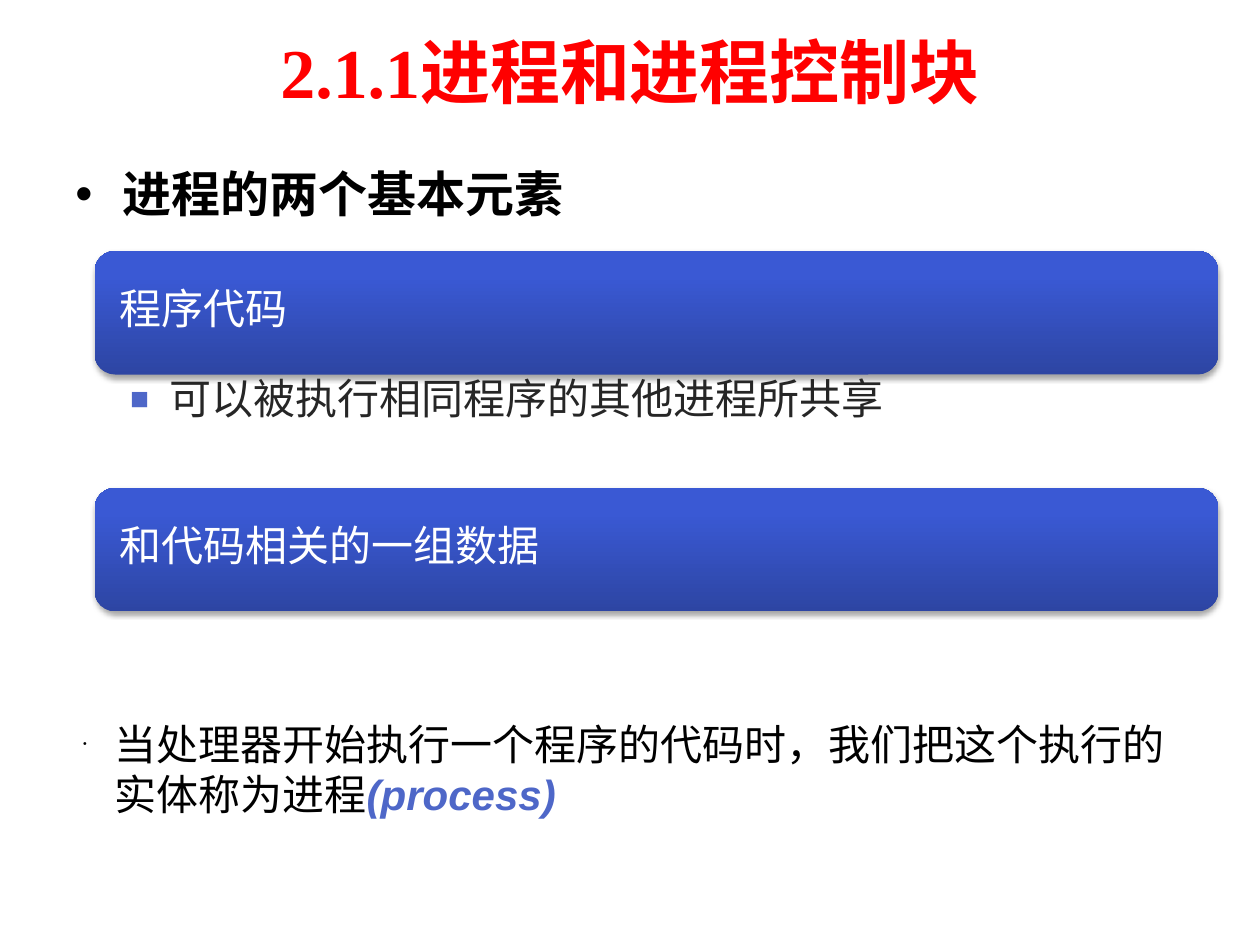
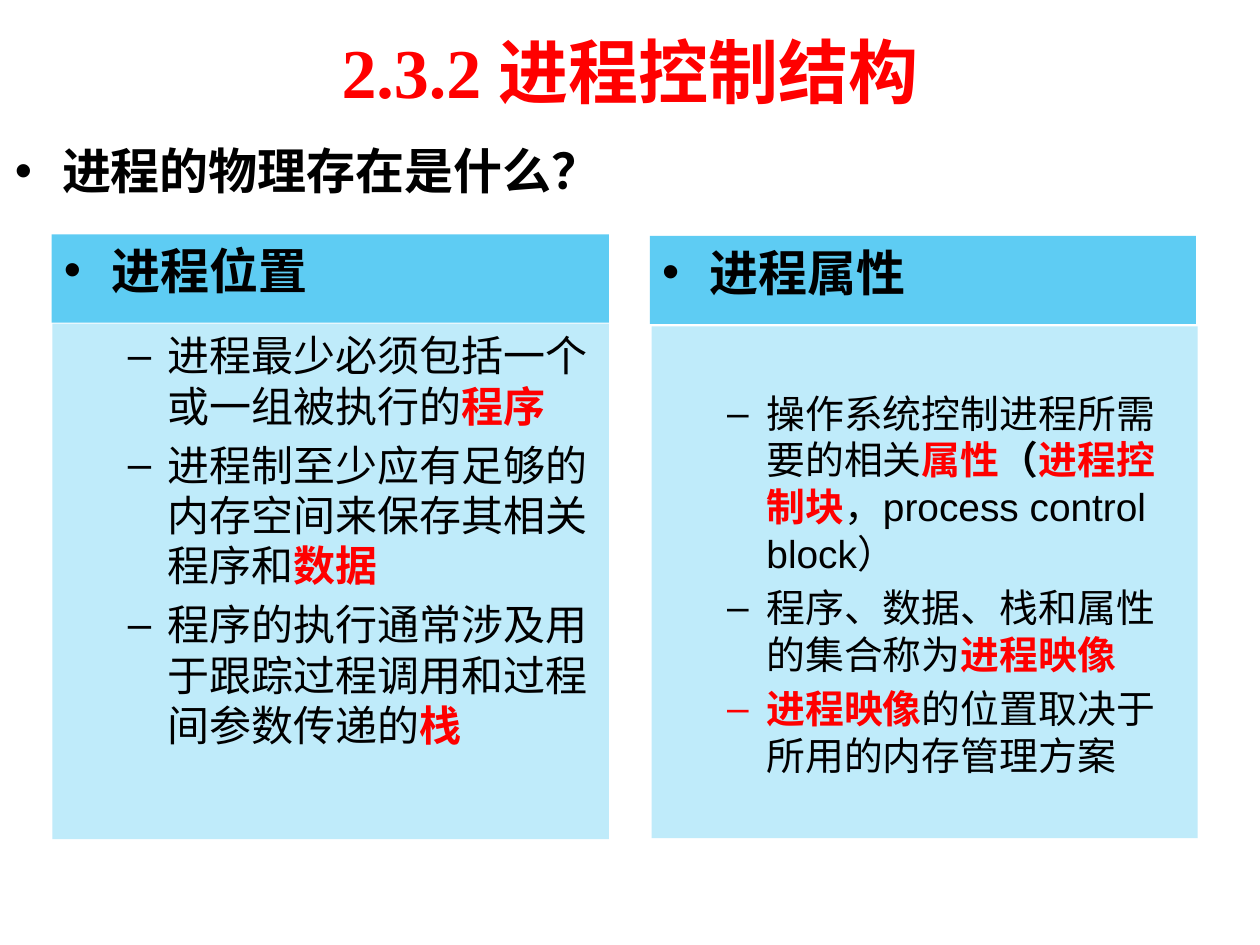
from copy import deepcopy
from dataclasses import dataclass

from lxml import etree
from pptx import Presentation
from pptx.dml.color import RGBColor
from pptx.enum import shapes, text
from pptx.oxml import ns
from pptx.util import Pt

RED = RGBColor(0xFF, 0x00, 0x00)
BLACK = RGBColor(0x00, 0x00, 0x00)
WHITE = RGBColor(0xFF, 0xFF, 0xFF)
CHARCOAL = RGBColor(0x26, 0x26, 0x26)
ACCENT = RGBColor(0x4E, 0x67, 0xC8)
HEADER_BLUE = RGBColor(0x5E, 0xCC, 0xF3)
PANEL_BLUE = RGBColor(0xBF, 0xEB, 0xFA)
BANNER_STOPS = (
    (0, RGBColor(0x2D, 0x45, 0xA3)),
    (0.8, RGBColor(0x3A, 0x59, 0xD4)),
    (1, RGBColor(0x37, 0x58, 0xD7)),
)
TITLE_FONT = "Times New Roman"
BODY_FONT = "Arial"


@dataclass(frozen=True)
class Box:
    left: float
    top: float
    width: float
    height: float


@dataclass(frozen=True)
class Span:
    text: str
    color: RGBColor = BLACK
    bold: bool = False
    italic: bool = False


@dataclass(frozen=True)
class Style:
    size: float
    bullet: str = ""
    margin: float = 0
    hanging: float = 0
    line_spacing: float = 1.0
    bullet_percent: int = 100
    bullet_color: RGBColor | None = None


@dataclass(frozen=True)
class Column:
    header_box: Box
    header: str
    panel_box: Box
    style: Style
    top_inset: float
    items: tuple[tuple[Span, ...], ...]


HEADING = Style(28, "•", 27, 27)
TIGHT_HEADING = Style(28, "•", 27, 27, line_spacing=0.9)
BANNER = Style(24, line_spacing=0.9)
SHARED_NOTE = Style(24, "■", 22.5, 22.5, 0.9, 75, ACCENT)
CONCLUSION = Style(24, "•", 22.5, 18, bullet_percent=25)
DASH = Style(24, "–", 58.5, 22.5)
SMALL_DASH = Style(22.2, "–", 58.5, 22.5)


def key(label: str) -> Span:
    return Span(label, RED, True)


COLUMNS = (
    Column(
        Box(29.5, 134, 318.5, 50.4), "进程位置",
        Box(30, 185, 318, 294.5), DASH, 3.6,
        (
            (Span("进程最少必须包括一个或一组被执行的"), key("程序")),
            (Span("进程制至少应有足够的内存空间来保存其相关程序和"), key("数据")),
            (Span("程序的执行通常涉及用于跟踪过程调用和过程间参数传递的"), key("栈")),
        ),
    ),
    Column(
        Box(371.3, 134.8, 312, 50.4), "进程属性",
        Box(372.4, 186.5, 312, 292.5), SMALL_DASH, 36,
        (
            (Span("操作系统控制进程所需要的相关"), key("属性"), Span("（", bold=True),
             key("进程控制块"), Span("，process control block）")),
            (Span("程序、数据、栈和属性的集合称为"), key("进程映像")),
            (key("进程映像"), Span("的位置取决于所用的内存管理方案")),
        ),
    ),
)


def add_bullet(paragraph, style: Style) -> None:
    properties = paragraph._p.get_or_add_pPr()
    properties.set("marL", str(Pt(style.margin)))
    properties.set("indent", str(-Pt(style.hanging)))
    if style.bullet_color is not None:
        color = etree.SubElement(properties, ns.qn("a:buClr"))
        etree.SubElement(color, ns.qn("a:srgbClr"), val=str(style.bullet_color))
    etree.SubElement(properties, ns.qn("a:buSzPct"), val=str(style.bullet_percent * 1000))
    etree.SubElement(properties, ns.qn("a:buFont"), typeface=BODY_FONT)
    etree.SubElement(properties, ns.qn("a:buChar"), char=style.bullet)


def write(shape, style: Style, *items: tuple[Span, ...],
          insets: tuple[float, float, float, float] = (7.2, 3.6, 7.2, 3.6),
          anchor=text.MSO_ANCHOR.TOP) -> None:
    frame = shape.text_frame
    frame.word_wrap = True
    frame.vertical_anchor = anchor
    frame.margin_left, frame.margin_top, frame.margin_right, frame.margin_bottom = map(Pt, insets)
    for index, spans in enumerate(items):
        paragraph = frame.add_paragraph() if index else frame.paragraphs[0]
        paragraph.alignment = text.PP_ALIGN.LEFT
        paragraph.line_spacing = style.line_spacing
        if index:
            paragraph.space_before = Pt(style.size * 0.2)
        if style.bullet:
            add_bullet(paragraph, style)
        for span in spans:
            run = paragraph.add_run()
            run.text = span.text
            run.font.name = BODY_FONT
            run.font.size = Pt(style.size)
            run.font.bold = span.bold
            run.font.italic = span.italic
            run.font.color.rgb = span.color


def place(box: Box) -> tuple[int, ...]:
    return tuple(map(Pt, (box.left, box.top, box.width, box.height)))


def add_titled_slide(presentation, title: str):
    slide = presentation.slides.add_slide(presentation.slide_layouts[5])
    shape = slide.shapes.title
    shape.left, shape.top, shape.width, shape.height = place(Box(36, 3.6, 648, 73.4))
    frame = shape.text_frame
    frame.text = title
    frame.auto_size = text.MSO_AUTO_SIZE.NONE
    frame.vertical_anchor = text.MSO_ANCHOR.MIDDLE
    paragraph = frame.paragraphs[0]
    paragraph.alignment = text.PP_ALIGN.CENTER
    font = paragraph.runs[0].font
    font.name, font.size, font.bold = TITLE_FONT, Pt(40), True
    font.color.rgb = RED
    return slide


def add_shape(slide, kind, box: Box):
    shape = slide.shapes.add_shape(kind, *place(box))
    shape.shadow.inherit = False
    shape.line.fill.background()
    return shape


def add_panel(slide, box: Box, color: RGBColor):
    panel = add_shape(slide, shapes.MSO_SHAPE.RECTANGLE, box)
    panel.fill.solid()
    panel.fill.fore_color.rgb = color
    return panel


def add_banner(slide, box: Box, label: str) -> None:
    banner = add_shape(slide, shapes.MSO_SHAPE.ROUNDED_RECTANGLE, box)
    banner.fill.gradient()
    banner.fill.gradient_angle = 90
    first_stop = banner._element.spPr.find(".//" + ns.qn("a:gs"))
    first_stop.addnext(deepcopy(first_stop))
    for stop, (position, color) in zip(banner.fill.gradient_stops, BANNER_STOPS):
        stop.position = position
        stop.color.rgb = color
    effects = banner._element.spPr.find(ns.qn("a:effectLst"))
    shadow = etree.SubElement(effects, ns.qn("a:outerShdw"), blurRad=str(Pt(3.1)),
                              dist=str(Pt(1.8)), dir="5400000", rotWithShape="0")
    color = etree.SubElement(shadow, ns.qn("a:srgbClr"), val=str(BLACK))
    etree.SubElement(color, ns.qn("a:alpha"), val="35000")
    write(banner, BANNER, (Span(label, WHITE),), insets=(10.8, 7.2, 10.8, 9.6),
          anchor=text.MSO_ANCHOR.MIDDLE)


def add_text(slide, box: Box, style: Style, *spans: Span, **layout) -> None:
    write(slide.shapes.add_textbox(*place(box)), style, spans, **layout)


def build_elements_slide(presentation) -> None:
    slide = add_titled_slide(presentation, "2.1.1进程和进程控制块")
    add_text(slide, Box(36, 93.6, 648, 44), TIGHT_HEADING, Span("进程的两个基本元素", bold=True))
    for index, label in enumerate(("程序代码", "和代码相关的一组数据")):
        add_banner(slide, Box(54, 143.4 + index * 135.4, 642.2, 70.6), label)
    add_text(slide, Box(54, 214, 642.2, 62.6), SHARED_NOTE,
             Span("可以被执行相同程序的其他进程所共享", CHARCOAL), insets=(20.4, 2.2, 13.7, 2.2))
    add_text(slide, Box(36, 407, 648, 70), CONCLUSION,
             Span("当处理器开始执行一个程序的代码时，我们把这个执行的实体称为进程"),
             Span("(process)", ACCENT, True, True))


def build_structure_slide(presentation) -> None:
    slide = add_titled_slide(presentation, "2.3.2 进程控制结构")
    add_text(slide, Box(1.4, 77, 648, 45.4), HEADING, Span("进程的物理存在是什么？", bold=True))
    for column in COLUMNS:
        header = add_panel(slide, column.header_box, HEADER_BLUE)
        write(header, HEADING, (Span(column.header, bold=True),))
        panel = add_panel(slide, column.panel_box, PANEL_BLUE)
        write(panel, column.style, *column.items, insets=(7.2, column.top_inset, 7.2, 3.6))


def main() -> None:
    presentation = Presentation()
    presentation.slide_width, presentation.slide_height = Pt(720), Pt(540)
    build_elements_slide(presentation)
    build_structure_slide(presentation)
    presentation.save("out.pptx")


if __name__ == "__main__":
    main()
